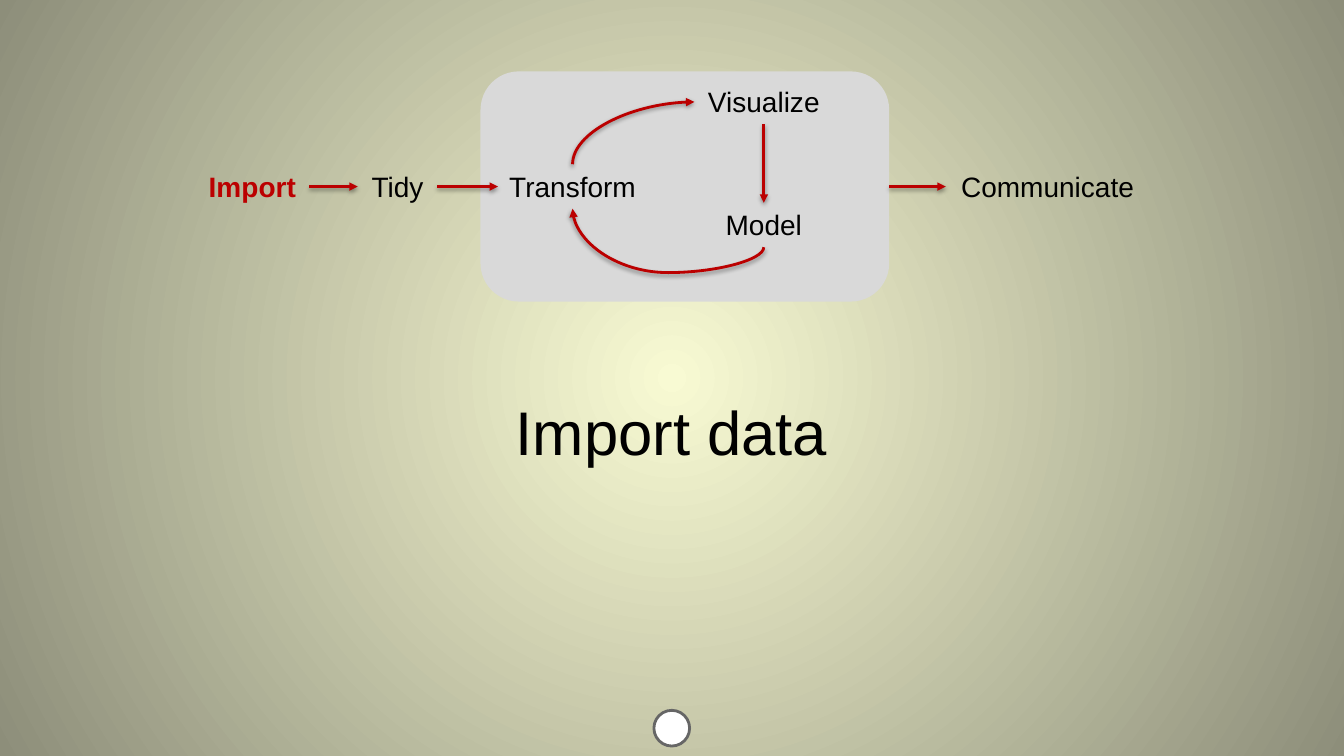
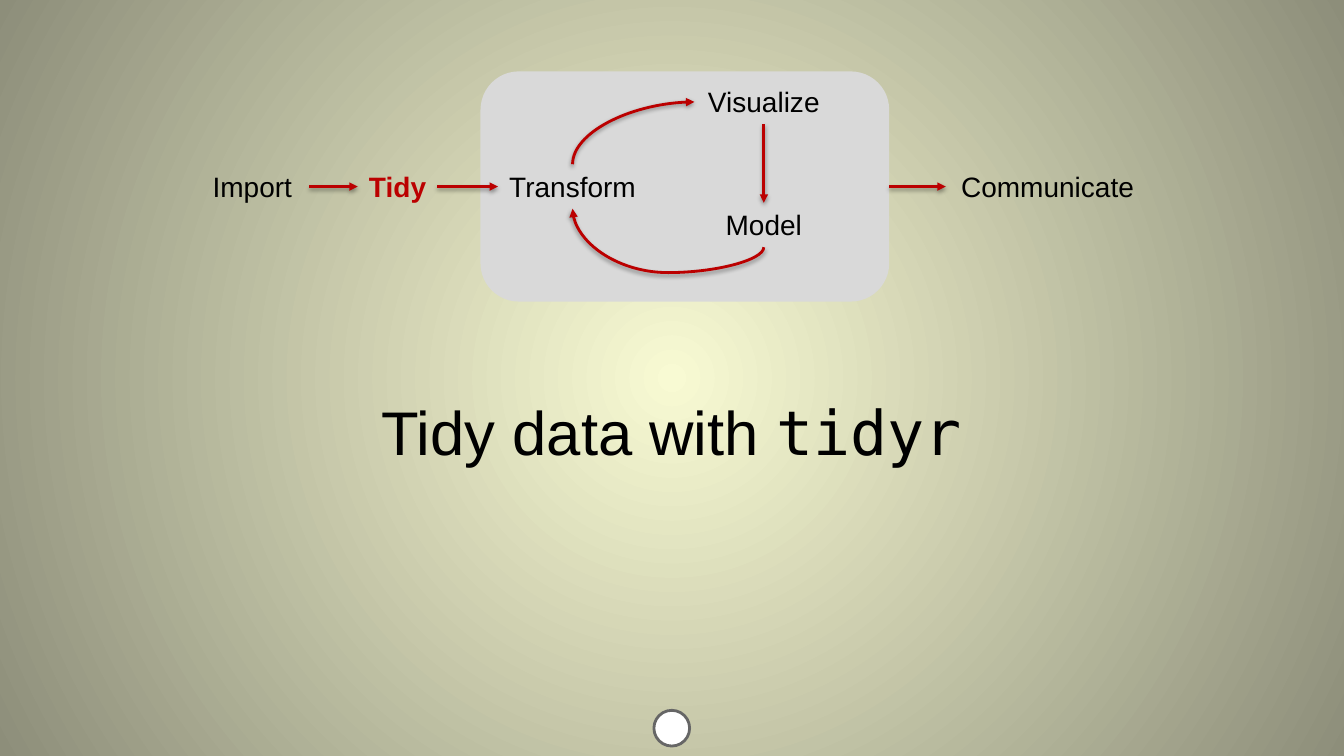
import pptx
import pptx.dml.color
import pptx.enum.shapes
import pptx.enum.text
import pptx.oxml
import pptx.oxml.ns
import pptx.util
from pptx.util import Cm

RGBColor = pptx.dml.color.RGBColor
MSO_SHAPE = pptx.enum.shapes.MSO_SHAPE
MSO_CONNECTOR = pptx.enum.shapes.MSO_CONNECTOR
qn = pptx.oxml.ns.qn

# Content: highlighted step and title runs (text, font) of each slide
SANS, MONO = "Arial", "DejaVu Sans Mono"
SLIDES = [
    ("Import", [("Import data", SANS)]),
    ("Tidy", [("Tidy data with ", SANS), ("tidyr", MONO)]),
]

# Workflow steps: name, centre x, centre y, width (cm)
MIDDLE = 4.7
STEPS = [
    ("Import", 6.36, MIDDLE, 2.87),
    ("Tidy", 10.02, MIDDLE, 2.01),
    ("Transform", 14.43, MIDDLE, 3.76),
    ("Visualize", 19.25, 2.57, 3.5),
    ("Model", 19.25, 5.67, 2.54),
    ("Communicate", 26.4, MIDDLE, 5.13),
]
STEP_HEIGHT = 1.12
PANEL = "panel"
TOP, LEFT, BOTTOM, RIGHT = range(4)

# Straight arrows: from, side, to, side
ARROWS = [
    ("Import", RIGHT, "Tidy", LEFT),
    ("Tidy", RIGHT, "Transform", LEFT),
    (PANEL, RIGHT, "Communicate", LEFT),
    ("Visualize", BOTTOM, "Model", TOP),
]
# Curved arrows: from, side, to, side, preset, bend
CURVES = [
    ("Model", BOTTOM, "Transform", BOTTOM, "curvedConnector3", -65900),
    ("Transform", TOP, "Visualize", LEFT, "curvedConnector2", None),
]

# Theme
BLACK = RGBColor(0x00, 0x00, 0x00)
WHITE = RGBColor(0xFF, 0xFF, 0xFF)
RED = RGBColor(0xBB, 0x00, 0x00)
PANEL_GREY = RGBColor(0xD9, 0xD9, 0xD9)
RING_GREY = RGBColor(0x66, 0x66, 0x66)
GLOW = RGBColor(0xF8, 0xFA, 0xD3)
EDGE = RGBColor(0x8D, 0x8E, 0x7A)
LINE_WIDTH = pptx.util.Pt(2)
NAMESPACE = pptx.oxml.ns.nsdecls("a")
SHADOW = (f'<a:effectLst {NAMESPACE}><a:outerShdw blurRad="40000" dist="20000" '
          'dir="5400000" rotWithShape="0"><a:srgbClr val="000000">'
          '<a:alpha val="38000"/></a:srgbClr></a:outerShdw></a:effectLst>')
ARROWHEAD = f'<a:tailEnd {NAMESPACE} type="triangle"/>'
RADIAL = (f'<a:path {NAMESPACE} path="circle">'
          '<a:fillToRect l="50000" t="50000" r="50000" b="50000"/></a:path>')


def style_master(presentation):
    """Radial background for every slide."""
    master = presentation.slide_master
    fill = master.background.fill
    fill.gradient()
    for stop, color in zip(fill.gradient_stops, (GLOW, EDGE)):
        stop.color.rgb = color
    linear = master.element.find(".//" + qn("a:gradFill")).find(qn("a:lin"))
    linear.getparent().replace(linear, pptx.oxml.parse_xml(RADIAL))


def style_layout(layout):
    """Title position and frame shared by the slides."""
    title = layout.placeholders[0]
    title.left, title.top, title.width, title.height = Cm(2.54), Cm(8.61), Cm(28.78), Cm(4.5)
    frame = title.text_frame
    frame.vertical_anchor = pptx.enum.text.MSO_ANCHOR.MIDDLE
    frame.margin_left = frame.margin_right = Cm(0.25)
    frame.margin_top = frame.margin_bottom = Cm(0.25)


def set_font(paragraph, size, color, bold=False):
    paragraph.alignment = pptx.enum.text.PP_ALIGN.CENTER
    font = paragraph.font
    font.name, font.size, font.bold = SANS, pptx.util.Pt(size), bold
    font.color.rgb = color


def add_title(slide, runs):
    paragraph = slide.shapes.title.text_frame.paragraphs[0]
    set_font(paragraph, 44, BLACK)
    for text, font_name in runs:
        run = paragraph.add_run()
        run.text = text
        run.font.name = font_name


def add_filled(slide, preset, left, top, width, height, color):
    shape = slide.shapes.add_shape(preset, Cm(left), Cm(top), Cm(width), Cm(height))
    shape.shadow.inherit = False
    shape.fill.solid()
    shape.fill.fore_color.rgb = color
    shape.line.fill.background()
    return shape


def add_step(slide, name, center_x, center_y, width, highlighted):
    box = slide.shapes.add_textbox(Cm(center_x - width / 2), Cm(center_y - STEP_HEIGHT / 2),
                                   Cm(width), Cm(STEP_HEIGHT))
    box.text_frame.word_wrap = True
    paragraph = box.text_frame.paragraphs[0]
    paragraph.text = name
    set_font(paragraph, 20, RED if highlighted else BLACK, highlighted)
    return box


def side_point(shape, side):
    x = {LEFT: 0, RIGHT: shape.width}.get(side, shape.width // 2)
    y = {TOP: 0, BOTTOM: shape.height}.get(side, shape.height // 2)
    return shape.left + x, shape.top + y


def add_arrow(slide, kind, start, end):
    connector = slide.shapes.add_connector(kind, *start, *end)
    connector.line.color.rgb = RED
    connector.line.width = LINE_WIDTH
    connector.line._get_or_add_ln().append(pptx.oxml.parse_xml(ARROWHEAD))
    connector._element.spPr.append(pptx.oxml.parse_xml(SHADOW))
    return connector


def add_curve(slide, start, end, preset, bend):
    """Curve that leaves its start vertically: a preset turned by 90 degrees."""
    connector = add_arrow(slide, MSO_CONNECTOR.CURVE, start, end)
    (start_x, start_y), (end_x, end_y) = start, end
    width, height = abs(end_y - start_y), abs(end_x - start_x)
    connector.left = (start_x + end_x - width) // 2
    connector.top = (start_y + end_y - height) // 2
    connector.width, connector.height = width, height
    properties = connector._element.spPr
    transform = properties.find(qn("a:xfrm"))
    transform.set("rot", "5400000")
    transform.set("flipH", str(int(start_y > end_y)))
    transform.set("flipV", str(int(start_x < end_x)))
    geometry = properties.find(qn("a:prstGeom"))
    geometry.set("prst", preset)
    if bend is not None:
        geometry.get_or_add_avLst().append(pptx.oxml.parse_xml(
            f'<a:gd {NAMESPACE} name="adj1" fmla="val {bend}"/>'))


def add_workflow(slide, current):
    shapes = {PANEL: add_filled(slide, MSO_SHAPE.ROUNDED_RECTANGLE,
                                12.11, MIDDLE - 2.9, 10.3, 5.8, PANEL_GREY)}
    for name, *place in STEPS:
        shapes[name] = add_step(slide, name, *place, name == current)
    for source, source_side, target, target_side in ARROWS:
        connector = add_arrow(slide, MSO_CONNECTOR.STRAIGHT,
                              side_point(shapes[source], source_side),
                              side_point(shapes[target], target_side))
        connector.begin_connect(shapes[source], source_side)
        connector.end_connect(shapes[target], target_side)
    for source, source_side, target, target_side, preset, bend in CURVES:
        add_curve(slide, side_point(shapes[source], source_side),
                  side_point(shapes[target], target_side), preset, bend)


def add_footer_ring(slide):
    ring = add_filled(slide, MSO_SHAPE.OVAL, 16.48, 17.9, 0.9, 0.9, WHITE)
    ring.line.color.rgb = RING_GREY
    ring.line.width = LINE_WIDTH


def main():
    presentation = pptx.Presentation()
    presentation.slide_width, presentation.slide_height = Cm(33.87), Cm(19.05)
    style_master(presentation)
    layout = presentation.slide_layouts.get_by_name("Title Only")
    style_layout(layout)
    for current, title_runs in SLIDES:
        slide = presentation.slides.add_slide(layout)
        add_title(slide, title_runs)
        add_workflow(slide, current)
        add_footer_ring(slide)
    presentation.save("out.pptx")


if __name__ == "__main__":
    main()
